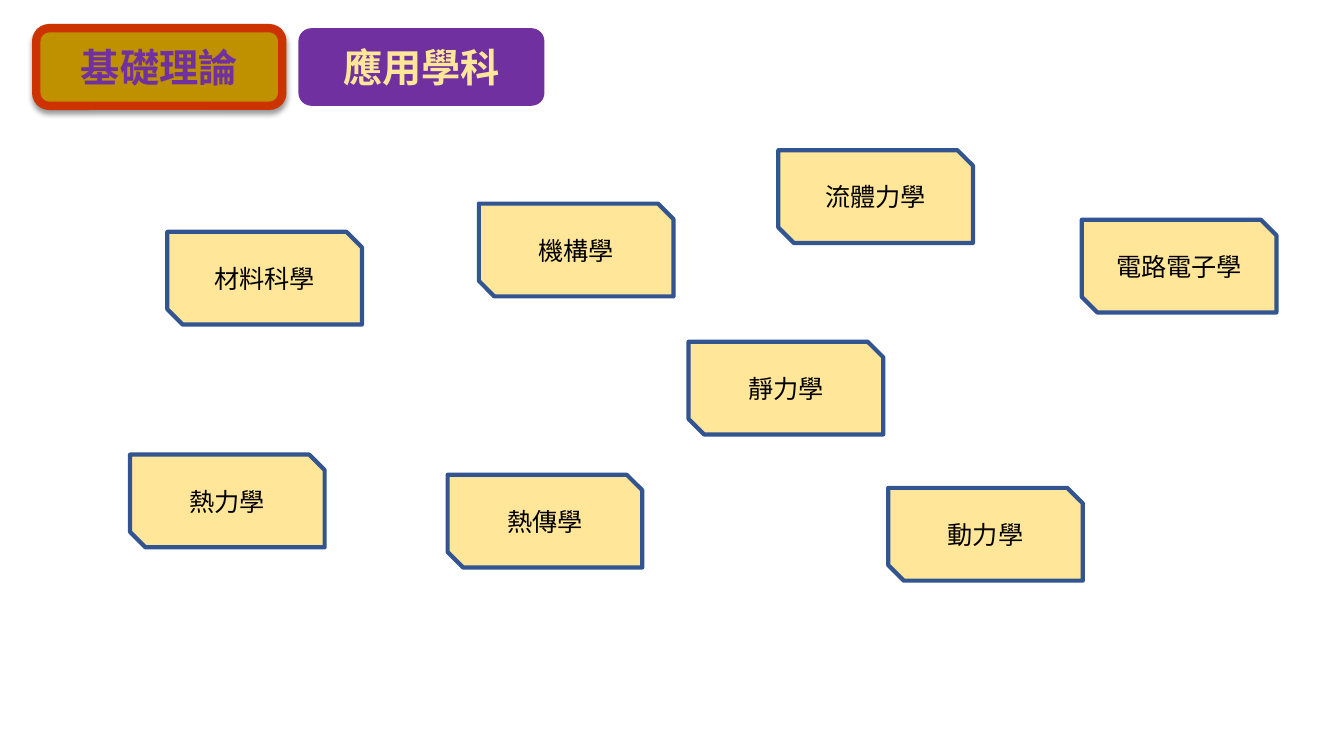
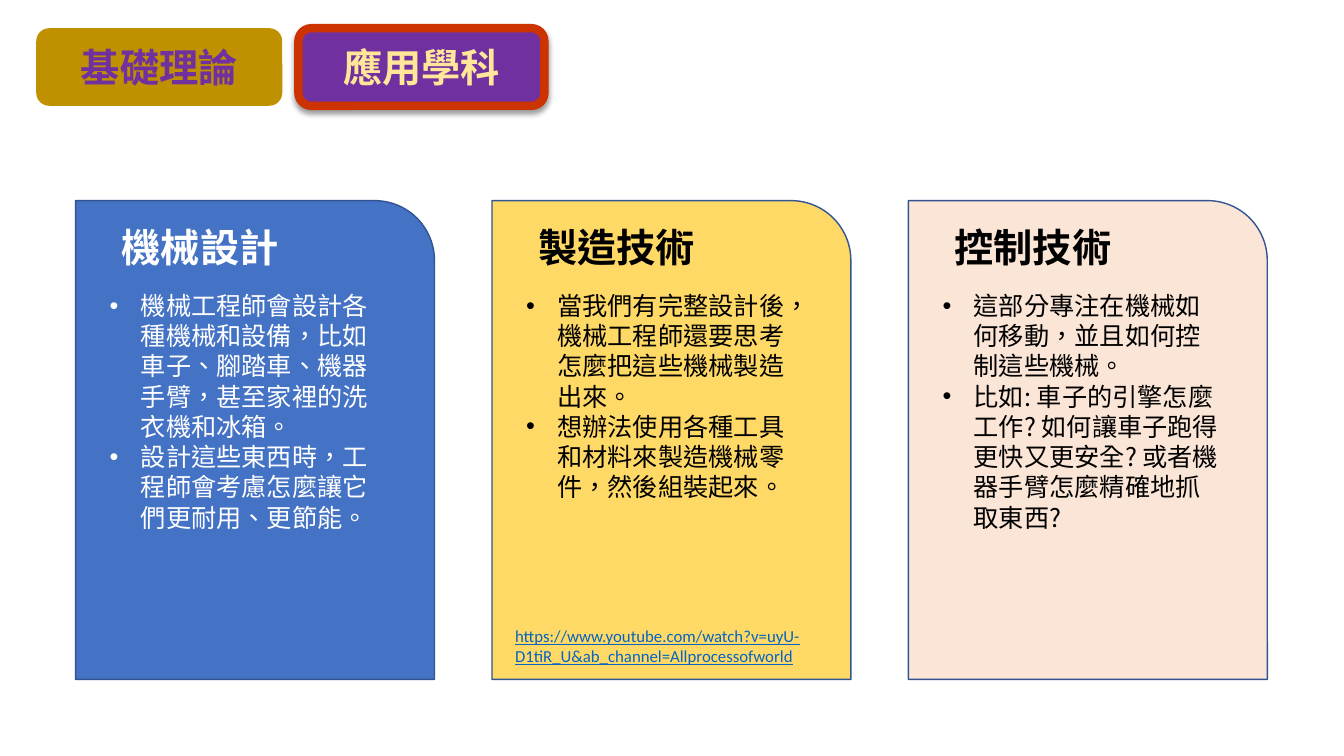
from dataclasses import dataclass

from lxml import etree
from pptx import Presentation
from pptx.dml.color import RGBColor
from pptx.enum.shapes import MSO_SHAPE
from pptx.enum.text import MSO_ANCHOR, PP_ALIGN
from pptx.oxml.ns import qn
from pptx.util import Inches, Pt

ROUNDED = MSO_SHAPE.ROUNDED_RECTANGLE
SNIPPED = MSO_SHAPE.SNIP_2_DIAG_RECTANGLE
ONE_ROUND = MSO_SHAPE.ROUND_1_RECTANGLE
LEFT, CENTER = PP_ALIGN.LEFT, PP_ALIGN.CENTER
TOP, MIDDLE = MSO_ANCHOR.TOP, MSO_ANCHOR.MIDDLE
BLANK_LAYOUT = 6


@dataclass(frozen=True)
class Theme:
    font: str = "Noto Sans CJK SC"
    link_font: str = "Calibri"
    heading_size: int = 28
    body_size: int = 18
    link_size: int = 12
    black: str = "000000"
    white: str = "FFFFFF"
    gold: str = "BF9000"
    purple: str = "7030A0"
    cream: str = "FFE699"
    red: str = "CC3300"
    outline: str = "325491"
    blue: str = "4472C4"
    yellow: str = "FFD966"
    peach: str = "FBE5D6"
    link: str = "0563C1"


THEME = Theme()

TABS = [
    ("基礎理論", THEME.gold, THEME.purple),
    ("應用學科", THEME.purple, THEME.cream),
]

SUBJECTS = [
    ("材料科學", 1.66, 2.3),
    ("機構學", 4.75, 2.02),
    ("熱力學", 1.29, 4.51),
    ("熱傳學", 4.44, 4.71),
    ("靜力學", 6.83, 3.39),
    ("流體力學", 7.72, 1.49),
    ("電路電子學", 10.73, 2.18),
    ("動力學", 8.81, 4.84),
]

CARDS = [
    ("機械設計", THEME.blue, THEME.white, [
        "機械工程師會設計各種機械和設備，比如車子、腳踏車、機器手臂，甚至家裡的洗衣機和冰箱。",
        "設計這些東西時，工程師會考慮怎麼讓它們更耐用、更節能。",
    ]),
    ("製造技術", THEME.yellow, THEME.black, [
        "當我們有完整設計後，機械工程師還要思考怎麼把這些機械製造出來。",
        "想辦法使用各種工具和材料來製造機械零件，然後組裝起來。",
    ]),
    ("控制技術", THEME.peach, THEME.black, [
        "這部分專注在機械如何移動，並且如何控制這些機械。",
        "比如: 車子的引擎怎麼工作? 如何讓車子跑得更快又更安全? 或者機器手臂怎麼精確地抓取東西?",
    ]),
]
CARD_LEFT, CARD_TOP, CARD_PITCH = 0.75, 1.99, 4.13

VIDEO_ADDRESS = "https://www.youtube.com/watch?v=uyU-D1tiR_U&ab_channel=Allprocessofworld"


def add_bullet(paragraph):
    properties = paragraph._p.get_or_add_pPr()
    properties.set("marL", str(Inches(0.31)))
    properties.set("indent", str(-Inches(0.31)))
    etree.SubElement(properties, qn("a:buFont"), typeface="Arial")
    etree.SubElement(properties, qn("a:buChar"), char="•")


def write_text(shape, *lines, size=THEME.body_size, color=THEME.black, font=THEME.font,
               language="zh-TW", bold=False, underline=False, bullets=False,
               align=LEFT, anchor=TOP):
    frame = shape.text_frame
    frame.word_wrap = True
    frame.vertical_anchor = anchor
    for index, line in enumerate(lines):
        paragraph = frame.add_paragraph() if index else frame.paragraphs[0]
        paragraph.alignment = align
        if bullets:
            add_bullet(paragraph)
        run = paragraph.add_run()
        run.text = line
        run.font.size = Pt(size)
        run.font.bold = bold
        run.font.underline = underline
        run.font.color.rgb = RGBColor.from_string(color)
        run.font.name = font
        properties = run._r.get_or_add_rPr()
        properties.set("lang", language)
        etree.SubElement(properties, qn("a:ea"), typeface=font)


def add_soft_shadow(shape):
    effects = shape._element.spPr.find(qn("a:effectLst"))
    shadow = etree.SubElement(effects, qn("a:outerShdw"), blurRad=str(Pt(4)), dist=str(Pt(3)),
                              dir="5400000", algn="t", rotWithShape="0")
    color = etree.SubElement(shadow, qn("a:srgbClr"), val=THEME.black)
    etree.SubElement(color, qn("a:alpha"), val="40000")


class Deck:
    def __init__(self, theme):
        self.theme = theme
        self.presentation = Presentation()
        self.presentation.slide_width = Inches(13.33)
        self.presentation.slide_height = Inches(7.5)
        self.slide = None

    def new_slide(self, active_tab):
        layout = self.presentation.slide_layouts[BLANK_LAYOUT]
        self.slide = self.presentation.slides.add_slide(layout)
        for index, (label, fill, color) in enumerate(TABS):
            self.tab(label, 0.36 + 2.6 * index, fill, color, index == active_tab)

    def box(self, shapes, kind, left, top, width, height, fill, line=None, line_width=1):
        shape = shapes.add_shape(kind, Inches(left), Inches(top), Inches(width), Inches(height))
        shape.shadow.inherit = False
        shape.fill.solid()
        shape.fill.fore_color.rgb = RGBColor.from_string(fill)
        if line:
            shape.line.color.rgb = RGBColor.from_string(line)
            shape.line.width = Pt(line_width)
        else:
            shape.line.fill.background()
        return shape

    def text(self, shapes, left, top, width, height, *lines, **text_format):
        shape = shapes.add_textbox(Inches(left), Inches(top), Inches(width), Inches(height))
        write_text(shape, *lines, **text_format)

    def tab(self, label, left, fill, color, active):
        shape = self.box(self.slide.shapes, ROUNDED, left, 0.28, 2.44, 0.77, fill,
                         self.theme.red if active else None, 6)
        if active:
            add_soft_shadow(shape)
        write_text(shape, label, size=self.theme.heading_size, color=color, bold=True,
                   align=CENTER, anchor=MIDDLE)

    def subject(self, label, left, top):
        shape = self.box(self.slide.shapes, SNIPPED, left, top, 1.93, 0.92,
                         self.theme.cream, self.theme.outline, 3)
        write_text(shape, label, align=CENTER, anchor=MIDDLE)

    def card(self, left, heading, fill, color, points):
        shapes = self.slide.shapes.add_group_shape().shapes
        self.box(shapes, ONE_ROUND, left, CARD_TOP, 3.56, 4.75, fill, self.theme.outline)
        self.text(shapes, left + 0.36, CARD_TOP + 0.18, 2.24, 0.57, heading,
                  size=self.theme.heading_size, color=color, bold=True)
        self.text(shapes, left + 0.24, CARD_TOP + 0.84, 3, 2.83, *points,
                  color=color, bullets=True)

    def web_address(self, address, left, top):
        self.text(self.slide.shapes, left, top, 3.31, 0.5, address, size=self.theme.link_size,
                  color=self.theme.link, font=self.theme.link_font, language="en-US",
                  underline=True)


def main():
    deck = Deck(THEME)

    deck.new_slide(active_tab=0)
    for label, left, top in SUBJECTS:
        deck.subject(label, left, top)

    deck.new_slide(active_tab=1)
    for index, card in enumerate(CARDS):
        deck.card(CARD_LEFT + CARD_PITCH * index, *card)
    deck.web_address(VIDEO_ADDRESS, 5.01, 6.16)

    deck.presentation.save("out.pptx")


if __name__ == "__main__":
    main()
